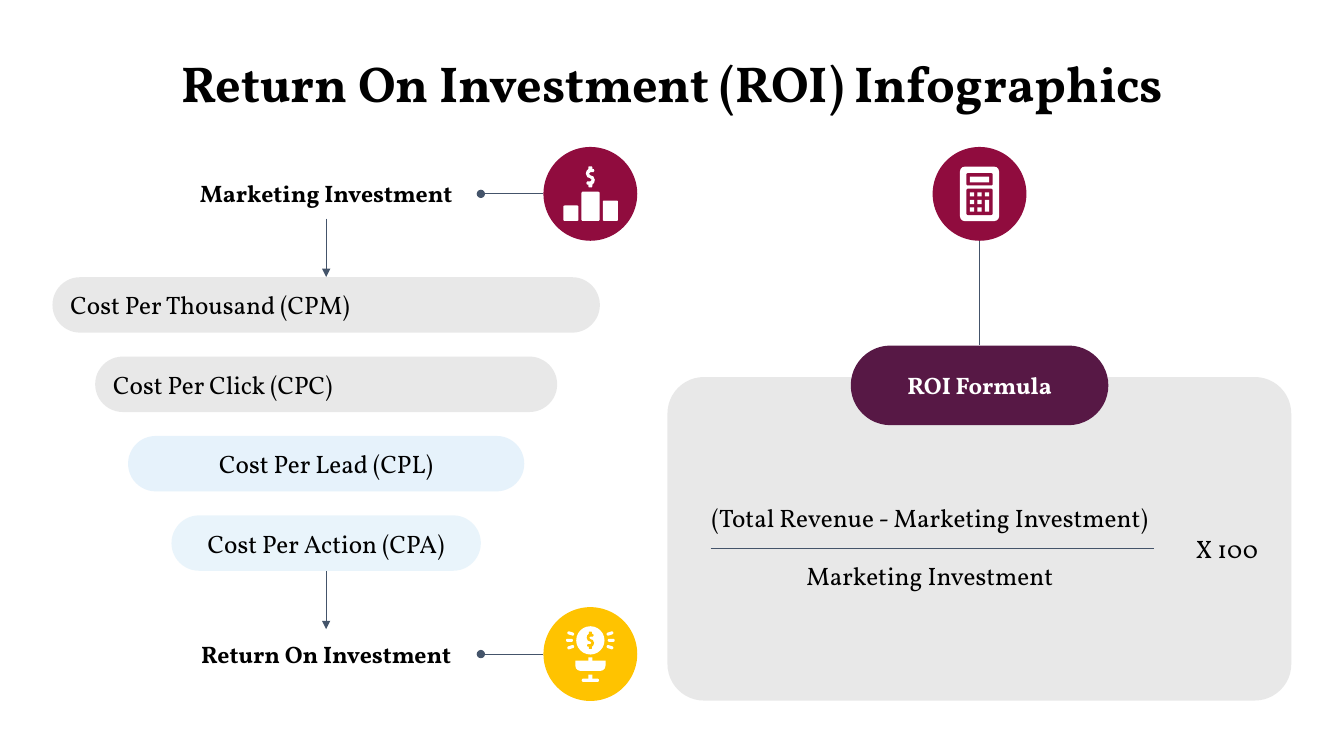
from lxml import etree
from pptx import Presentation
from pptx.dml.color import RGBColor
from pptx.enum.shapes import MSO_CONNECTOR, MSO_SHAPE
from pptx.enum.text import MSO_ANCHOR, MSO_AUTO_SIZE, PP_ALIGN
from pptx.oxml.ns import qn
from pptx.util import Pt

RECT, ROUND, OVAL = MSO_SHAPE.RECTANGLE, MSO_SHAPE.ROUNDED_RECTANGLE, MSO_SHAPE.OVAL
BOWL = MSO_SHAPE.ROUND_2_SAME_RECTANGLE
STRAIGHT = MSO_CONNECTOR.STRAIGHT
LEFT, CENTER = PP_ALIGN.LEFT, PP_ALIGN.CENTER
TOP, MIDDLE = MSO_ANCHOR.TOP, MSO_ANCHOR.MIDDLE
NO_AUTOFIT = MSO_AUTO_SIZE.NONE

FONT = "Vollkorn"
COLORS = {
    "black": "000000", "white": "FFFFFF", "gray": "D9D9D9", "slate": "44546A",
    "plum": "571845", "crimson": "900C3E", "gold": "FFC300",
    "blue": "409DE4", "sky": "55B0E2",
}
FUNNEL_X = 233
BARS = [
    ("Cost Per Thousand (CPM)", 391, "gray", 60, LEFT),
    ("Cost Per Click (CPC)", 330, "gray", 60, LEFT),
    ("Cost Per Lead (CPL)", 283, "blue", 13, CENTER),
    ("Cost Per Action (CPA)", 221, "sky", 13, CENTER),
]
DOLLAR_HALF = [
    (-1.1, -7.5), (1.1, -7.5), (1.4, -6.8), (1.4, -5.6), (2.4, -5.5),
    (2.9, -4.4), (2.2, -3.3), (0, -3.3), (-1, -2.2), (0, -1.1),
    (2.2, -0.2), (3.2, 2.2), (2.7, 4.2), (1.4, 5.6), (1.4, 6.8),
]


def color(name):
    return RGBColor.from_string(COLORS[name])


def put_text(s, text, size=18, bold=False, fill="black", align=CENTER,
             anchor=MIDDLE, inset=7.2):
    tf = s.text_frame
    tf.word_wrap = True
    tf.auto_size = NO_AUTOFIT
    tf.vertical_anchor = anchor
    tf.margin_left = tf.margin_right = Pt(7.2)
    tf.margin_top = tf.margin_bottom = Pt(inset)
    p = tf.paragraphs[0]
    p.alignment = align
    p.line_spacing = 1.0
    r = p.add_run()
    r.text = text
    r.font.name = FONT
    r.font.size = Pt(size)
    r.font.bold = bold
    r.font.color.rgb = color(fill)


def paint(s, fill, alpha=100):
    s.shadow.inherit = False
    s.line.fill.background()
    s.fill.solid()
    s.fill.fore_color.rgb = color(fill)
    if alpha < 100:
        clr = s.fill._xPr.find(qn("a:solidFill"))[0]
        etree.SubElement(clr, qn("a:alpha"), val=str(alpha * 1000))


def add_block(sp, kind, x, y, w, h, fill, alpha=100, adj=None, turn=0):
    s = sp.add_shape(kind, Pt(x), Pt(y), Pt(w), Pt(h))
    paint(s, fill, alpha)
    if adj is not None:
        s.adjustments[0] = adj
    s.rotation = turn
    return s


def add_label(sp, text, x, y, w, h, **fmt):
    put_text(sp.add_textbox(Pt(x), Pt(y), Pt(w), Pt(h)), text, **fmt)


def add_line(sp, x1, y1, x2, y2, end=None):
    c = sp.add_connector(STRAIGHT, Pt(x1), Pt(y1), Pt(x2), Pt(y2))
    c.line.color.rgb = color("slate")
    c.line.width = Pt(0.75)
    if end:
        etree.SubElement(c.line._get_or_add_ln(), qn("a:tailEnd"), type=end)
    etree.SubElement(c._element.spPr, qn("a:effectLst"))


def add_dollar(sp, cx, cy, scale, fill):
    outline = DOLLAR_HALF + [(-x, -y) for x, y in DOLLAR_HALF]
    pts = [(Pt(cx + x * scale), Pt(cy + y * scale)) for x, y in outline]
    fb = sp.build_freeform(*pts[0])
    fb.add_line_segments(pts[1:], close=True)
    paint(fb.convert_to_shape(), fill)


def add_disc(sp, cx, cy, fill):
    add_block(sp, OVAL, cx - 33.5, cy - 33.5, 67, 67, fill)


def add_podium_icon(sp, cx, cy):
    add_disc(sp, cx, cy, "crimson")
    base = cy + 19.3
    for dx, w, h in [(-19.3, 10.8, 11), (-6.4, 13, 20.9), (8.9, 10.8, 14.5)]:
        add_block(sp, ROUND, cx + dx, base - h, w, h, "white", adj=0.08)
    add_dollar(sp, cx, cy - 12.2, 1, "white")


def add_plant_icon(sp, cx, cy):
    add_disc(sp, cx, cy, "gold")
    coin_y = cy - 9.8
    add_block(sp, OVAL, cx - 10.1, coin_y - 10.1, 20.2, 20.2, "white")
    add_dollar(sp, cx, coin_y, 0.82, "gold")
    for side in (-1, 1):
        for row, dx in [(-1, 14), (0, 14.9), (1, 14)]:
            add_block(sp, ROUND, cx + side * dx - 2.5, coin_y + row * 4.9 - 1.1,
                      5, 2.2, "white", adj=0.5, turn=side * row * 18)
    add_block(sp, RECT, cx - 1.4, cy + 2.4, 2.8, 4, "white")
    add_block(sp, BOWL, cx - 10.8, cy + 4.6, 21.6, 7.4, "white", adj=0.5, turn=180)
    add_block(sp, RECT, cx - 1.4, cy + 14.6, 2.8, 4, "white")
    add_block(sp, ROUND, cx - 6.2, cy + 17.5, 12.4, 2.4, "white", adj=0.5)


def add_calculator_icon(sp, cx, cy):
    add_disc(sp, cx, cy, "crimson")
    add_block(sp, ROUND, cx - 14, cy - 19.5, 28, 39, "white", adj=0.13)
    add_block(sp, ROUND, cx - 9.4, cy - 14.8, 18.8, 8.8, "crimson", adj=0.12)
    add_block(sp, RECT, cx - 6.9, cy - 12.4, 13.8, 4.2, "white")
    add_block(sp, ROUND, cx - 9.4, cy - 3.7, 18.8, 18.8, "crimson", adj=0.06)
    for row in range(3):
        for col in range(3):
            if (row, col) != (2, 2):
                h = 8.4 if (row, col) == (1, 2) else 3
                add_block(sp, RECT, cx - 6.9 + 5.4 * col, cy - 1.1 + 5.4 * row,
                          3, h, "white")


def add_funnel(sp):
    for i, (text, w, fill, alpha, align) in enumerate(BARS):
        s = add_block(sp, ROUND, FUNNEL_X - w / 2, 198 + 56.7 * i, w, 39.6,
                      fill, alpha, adj=0.5)
        put_text(s, text, align=align)
    ends = [("Marketing Investment", 120.2, add_podium_icon, 138.5),
            ("Return On Investment", 449.3, add_plant_icon, 467.2)]
    for text, y, add_icon, cy in ends:
        add_label(sp, text, FUNNEL_X - 110.5, y, 221, 36, size=17, bold=True)
        add_line(sp, 388.1, cy, 343.5, cy, end="oval")
        add_icon(sp, 421.7, cy)
    for y in (156.2, 407.7):
        add_line(sp, FUNNEL_X, y, FUNNEL_X, y + 41.7, end="triangle")


def add_formula(sp):
    add_block(sp, ROUND, 476.8, 269.3, 445.6, 231.1, "gray", 60, adj=0.113)
    s = add_block(sp, ROUND, 607.7, 246.8, 184, 56.9, "plum", adj=0.5)
    put_text(s, "ROI Formula", size=17, bold=True, fill="white")
    add_line(sp, 507.6, 391.7, 824.4, 391.7)
    add_label(sp, "(Total Revenue - Marketing Investment)", 488.2, 352.8, 352, 33)
    add_label(sp, "Marketing Investment", 488.2, 394.6, 352, 33)
    add_label(sp, "X 100", 841, 375.1, 70.6, 33)
    add_calculator_icon(sp, 699.7, 138.5)
    add_line(sp, 699.7, 172, 699.7, 246.8)


def main():
    prs = Presentation()
    prs.slide_width, prs.slide_height = Pt(960), Pt(540)
    slide = prs.slides.add_slide(prs.slide_layouts[5])
    sp = slide.shapes
    title = sp.title
    title.left, title.top, title.width, title.height = Pt(0), Pt(33.8), Pt(960), Pt(51)
    put_text(title, "Return On Investment (ROI) Infographics", size=36, bold=True,
             anchor=TOP, inset=3.6)
    add_formula(sp)
    add_funnel(sp)
    prs.save("out.pptx")


if __name__ == "__main__":
    main()
